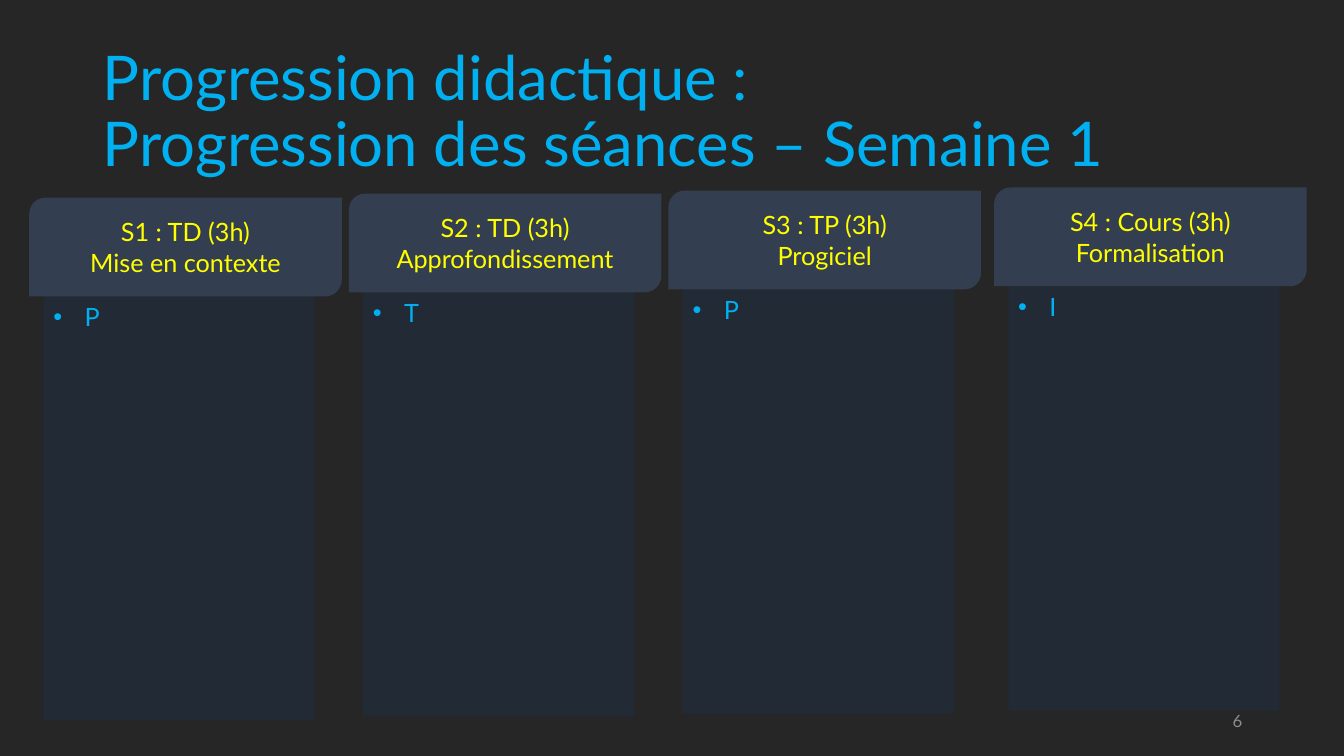
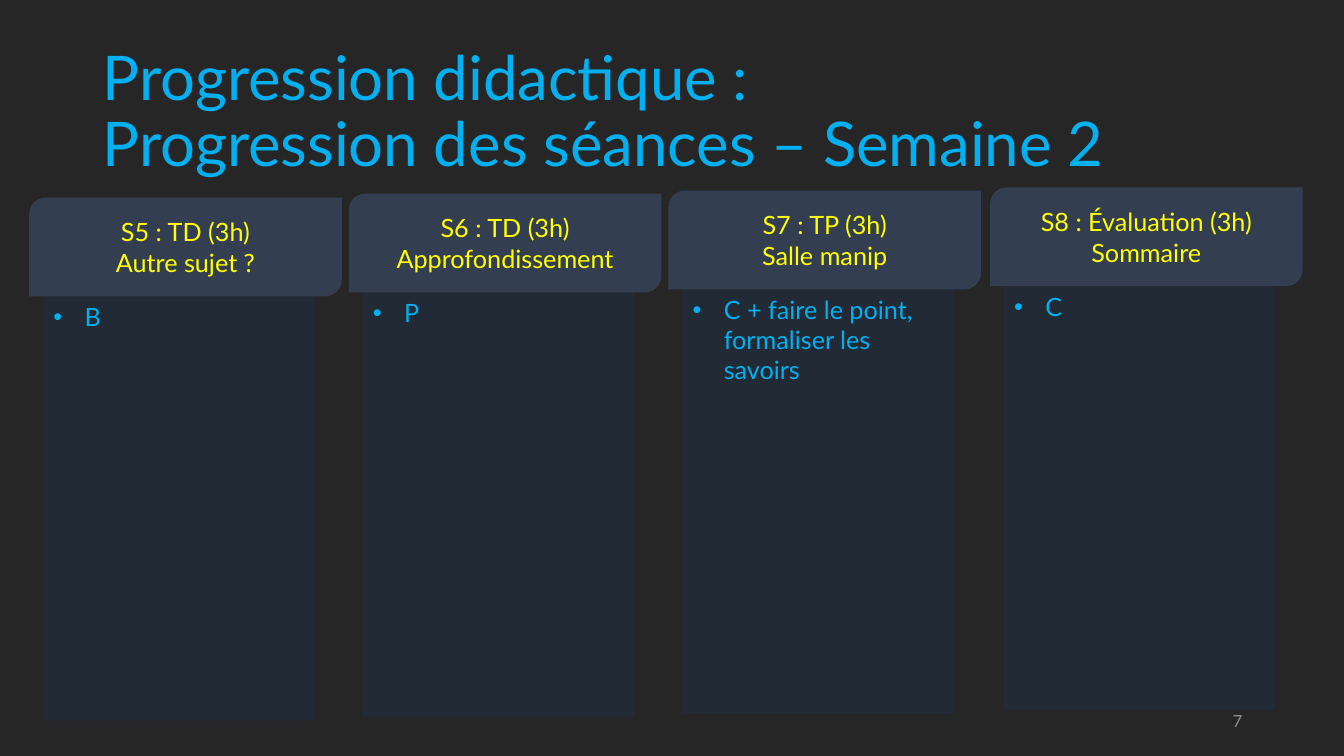
"""Build the two weekly session-progression slides."""
from dataclasses import dataclass
from typing import Any

import lxml.etree
import pptx
import pptx.dml.color
import pptx.enum.shapes
import pptx.enum.text
import pptx.oxml.ns
import pptx.util

EMU_PER_PX = 9144
SHAPE = pptx.enum.shapes.MSO_SHAPE
ALIGN = pptx.enum.text.PP_ALIGN
ANCHOR = pptx.enum.text.MSO_ANCHOR


@dataclass(frozen=True)
class Theme:
    """Colours, font and type sizes shared by the slides."""
    background: str = "262626"
    panel: str = "222A35"
    tab: str = "333F50"
    accent: str = "00B0F0"
    heading: str = "FFFF00"
    muted: str = "8C8C8C"
    font: str = "Lato"
    title_size: int = 44
    body_size: int = 18
    number_size: int = 12


@dataclass(frozen=True)
class Box:
    """A rectangle in px."""
    left: int
    top: int
    width: int
    height: int

    def emu(self) -> list[int]:
        """Return the rectangle in EMU."""
        return [px(n) for n in (self.left, self.top, self.width, self.height)]


@dataclass(frozen=True)
class TextStyle:
    """How the text of one kind of element looks."""
    size: int
    color: str
    paragraph: dict[str, Any]
    anchor: Any = ANCHOR.MIDDLE
    bullet: bool = False


@dataclass(frozen=True)
class Session:
    """One session: its tab heading and its content."""
    heading: str
    content: str


@dataclass(frozen=True)
class Week:
    """One slide: its number, page, last column shift and sessions."""
    number: int
    page: int
    last_shift: int
    sessions: tuple[Session, ...]


THEME = Theme()
TITLE = TextStyle(THEME.title_size, THEME.accent, {"alignment": ALIGN.LEFT, "line_spacing": 0.9})
PAGE = TextStyle(THEME.number_size, THEME.muted, {"alignment": ALIGN.RIGHT})
HEADING = TextStyle(THEME.body_size, THEME.heading, {"alignment": ALIGN.CENTER})
CONTENT = TextStyle(THEME.body_size, THEME.accent, {"alignment": ALIGN.LEFT}, ANCHOR.TOP, True)

TITLE_BOX = Box(92, 40, 1150, 145)
PAGE_BOX = Box(942, 695, 300, 40)
FIRST_LEFT, COLUMN_PITCH = 29, 317
TAB_TOPS = (196, 192, 189, 186)
TAB_WIDTH, TAB_HEIGHT = 310, 98
PANEL_INSET, PANEL_WIDTH, PANEL_HEIGHT = 14, 269, 421
BULLET_INDENT = 31

WEEKS = (
    Week(1, 6, 6, (
        Session("S1 : TD (3h)\nMise en contexte", "P"),
        Session("S2 : TD (3h)\nApprofondissement", "T"),
        Session("S3 : TP (3h)\nProgiciel", "P"),
        Session("S4 : Cours (3h)\vFormalisation", "I"),
    )),
    Week(2, 7, 2, (
        Session("S5 : TD (3h)\nAutre sujet ?", "B"),
        Session("S6 : TD (3h)\nApprofondissement", "P"),
        Session("S7 : TP (3h)\nSalle manip", "C + faire le point, formaliser les savoirs"),
        Session("S8 : Évaluation (3h)\nSommaire", "C"),
    )),
)


def px(length: int) -> int:
    """Turn px into EMU."""
    return length * EMU_PER_PX


def rgb(color: str) -> pptx.dml.color.RGBColor:
    """Turn a hex string into a colour."""
    return pptx.dml.color.RGBColor.from_string(color)


def apply(target: Any, values: dict[str, Any]) -> None:
    """Set each attribute of the target from the values."""
    for name, value in values.items():
        setattr(target, name, value)


def add_bullet(paragraph: Any) -> None:
    """Give the paragraph a hanging round bullet."""
    properties = paragraph._p.get_or_add_pPr()
    properties.set("marL", str(px(BULLET_INDENT)))
    properties.set("indent", str(-px(BULLET_INDENT)))
    qn = pptx.oxml.ns.qn
    lxml.etree.SubElement(properties, qn("a:buFont"), typeface="Arial")
    lxml.etree.SubElement(properties, qn("a:buChar"), char="•")


def write(shape: Any, text: str, style: TextStyle) -> None:
    """Fill the shape with styled text."""
    frame = shape.text_frame
    apply(frame, {"text": text, "word_wrap": True, "vertical_anchor": style.anchor})
    for paragraph in frame.paragraphs:
        apply(paragraph, style.paragraph)
        if style.bullet:
            add_bullet(paragraph)
        for run in paragraph.runs:
            apply(run.font, {"name": THEME.font, "size": pptx.util.Pt(style.size)})
            run.font.color.rgb = rgb(style.color)


def add_text(slide: Any, box: Box, text: str, style: TextStyle) -> None:
    """Add a text box."""
    write(slide.shapes.add_textbox(*box.emu()), text, style)


def add_block(slide: Any, kind: Any, box: Box, fill: str, text: str, style: TextStyle) -> None:
    """Add a filled shape without outline."""
    block = slide.shapes.add_shape(kind, *box.emu())
    block.shadow.inherit = False
    block.fill.solid()
    block.fill.fore_color.rgb = rgb(fill)
    block.line.fill.background()
    write(block, text, style)


def add_session(slide: Any, session: Session, left: int, top: int) -> None:
    """Add one column: a content panel under a heading tab."""
    panel = Box(left + PANEL_INSET, top + TAB_HEIGHT, PANEL_WIDTH, PANEL_HEIGHT)
    tab = Box(left, top, TAB_WIDTH, TAB_HEIGHT)
    add_block(slide, SHAPE.RECTANGLE, panel, THEME.panel, session.content, CONTENT)
    add_block(slide, SHAPE.ROUND_2_DIAG_RECTANGLE, tab, THEME.tab, session.heading, HEADING)


def add_week(deck: Any, week: Week) -> None:
    """Add the slide of one week."""
    slide = deck.slides.add_slide(deck.slide_layouts[6])
    title = f"Progression didactique :\vProgression des séances – Semaine {week.number}"
    add_text(slide, TITLE_BOX, title, TITLE)
    for column, (session, top) in enumerate(zip(week.sessions, TAB_TOPS)):
        is_last = column == len(week.sessions) - 1
        left = FIRST_LEFT + column * COLUMN_PITCH + (week.last_shift if is_last else 0)
        add_session(slide, session, left, top)
    add_text(slide, PAGE_BOX, str(week.page), PAGE)


def main() -> None:
    """Build and save the deck."""
    deck = pptx.Presentation()
    apply(deck, {"slide_width": px(1333), "slide_height": px(750)})
    backdrop = deck.slide_master.background.fill
    backdrop.solid()
    backdrop.fore_color.rgb = rgb(THEME.background)
    for week in WEEKS:
        add_week(deck, week)
    deck.save("out.pptx")


if __name__ == "__main__":
    main()
